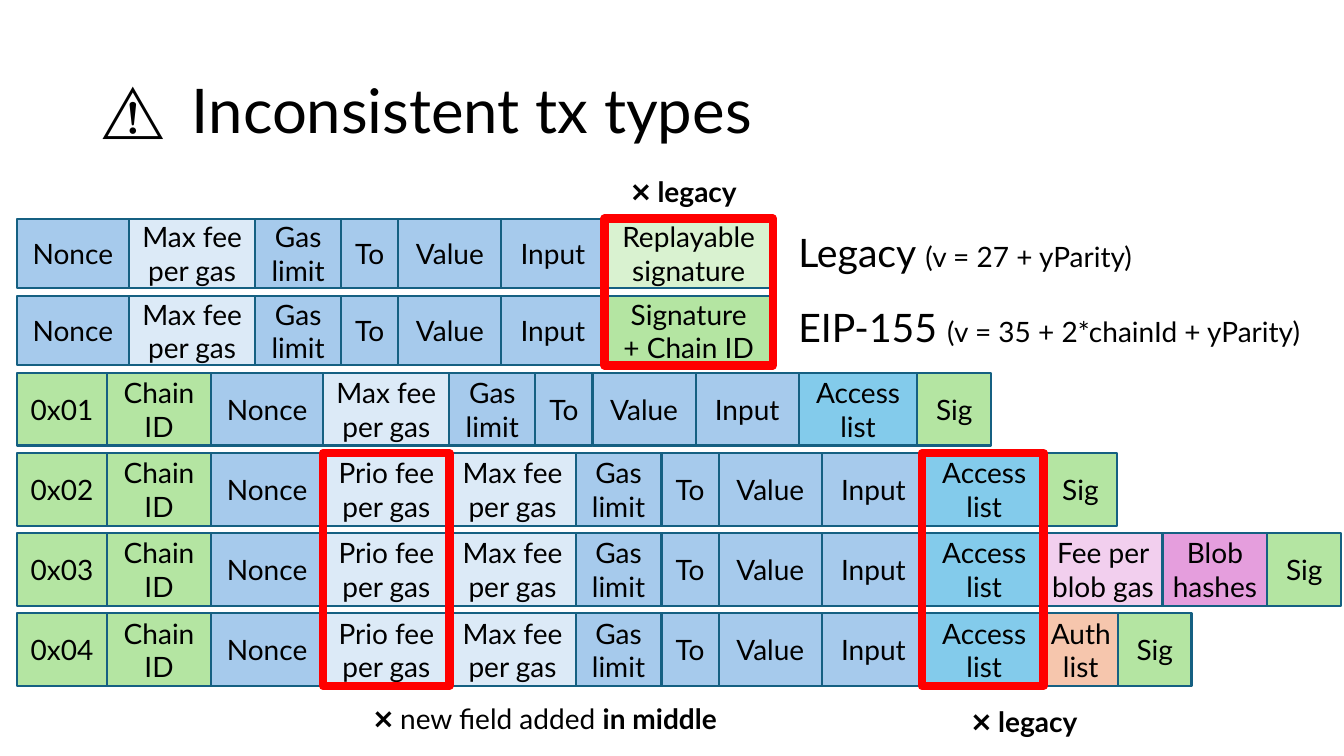
from dataclasses import dataclass, field

from pptx import Presentation
from pptx.dml.color import RGBColor as Rgb
from pptx.enum.shapes import MSO_SHAPE as Preset
from pptx.enum.text import MSO_ANCHOR as Anchor, MSO_AUTO_SIZE as AutoSize, PP_ALIGN as Align
from pptx.util import Inches, Pt

FONT = "Lato"
COLOURS = {
    "text": "000000", "outline": "156082", "alert": "FF0000",
    "blue": "A6CAEC", "pale blue": "DCEAF7", "green": "B4E5A2",
    "pale green": "D9F2D0", "cyan": "83CBEB", "pink": "F2CFEE",
    "violet": "E59EDD", "orange": "F6C6AD",
}


@dataclass(frozen=True)
class Box:
    """Position and size in percent of the slide's width and height."""
    left: float
    top: float
    width: float
    height: float


@dataclass(frozen=True)
class Run:
    text: str
    size: float = 20
    bold: bool = False
    spacing: int = 0


@dataclass(frozen=True)
class Field:
    label: str
    width: float
    fill: str = "blue"


@dataclass(frozen=True)
class TxType:
    fields: list[Field]
    height: float = 9.6
    note: list[Run] = field(default_factory=list)
    note_drop: float = 0


@dataclass(frozen=True)
class Highlight:
    label: str
    first_row: int
    last_row: int
    outset: float
    caption: list[Run]
    caption_box: Box


# Fields of the transaction types
NONCE = Field("Nonce", 8.35)
MAX_FEE = Field("Max fee per gas", 9.39, "pale blue")
PRIO_FEE = Field("Prio fee per gas", 9.39, "pale blue")
CALL = [Field("Gas limit", 6.39), Field("To", 4.26), Field("Value", 7.67), Field("Input", 7.67)]
CHAIN_ID = Field("Chain ID", 7.73, "green")
ACCESS = Field("Access list", 8.83, "cyan")
SIG = Field("Sig", 5.48, "green")
REPLAYABLE = Field("Replayable signature", 12.53, "pale green")
SIGNATURE = Field("Signature\n+ Chain ID", 12.53, "green")
BLOB = [Field("Fee per blob gas", 8.85, "pink"), Field("Blob hashes", 7.8, "violet")]
AUTH = Field("Auth list", 5.53, "orange")


def typed_fields(number: str, fees: list[Field], extras: list[Field]) -> list[Field]:
    return [Field(number, 6.72, "green"), CHAIN_ID, NONCE, *fees, *CALL, ACCESS, *extras, SIG]


FEES = [PRIO_FEE, MAX_FEE]
TX_TYPES = [
    TxType([NONCE, MAX_FEE, *CALL, REPLAYABLE], 9.2,
           [Run("Legacy ", 28), Run("(v = 27 + yParity)")], 0.6),
    TxType([NONCE, MAX_FEE, *CALL, SIGNATURE], 9.2,
           [Run("EIP-155 ", 28), Run("(v = 35 + 2*chainId + yParity)")], 0.3),
    TxType(typed_fields("0x01", [MAX_FEE], [])),
    TxType(typed_fields("0x02", FEES, [])),
    TxType(typed_fields("0x03", FEES, BLOB)),
    TxType(typed_fields("0x04", FEES, [AUTH])),
]
LEGACY = [Run("❌ "), Run("legacy", bold=True)]
HIGHLIGHTS = [
    Highlight(REPLAYABLE.label, 0, 1, 0, LEGACY, Box(46.25, 22.4, 40, 5.83)),
    Highlight(PRIO_FEE.label, 3, 5, 0,
              [Run("❌ new field added "), Run("in middle", bold=True)],
              Box(27.1, 92.1, 40, 5.83)),
    Highlight(ACCESS.label, 3, 5, 0.22, LEGACY, Box(71.6, 92.5, 28, 5.83)),
]
ROWS_LEFT, ROWS_TOP, ROW_GAP = 1.25, 28.93, 1.0

deck = Presentation()
deck.slide_width, deck.slide_height = Inches(13.33), Inches(7.5)
slide = deck.slides.add_slide(deck.slide_layouts[5])


def place(box: Box) -> tuple[int, int, int, int]:
    across, down = deck.slide_width / 100, deck.slide_height / 100
    return (round(box.left * across), round(box.top * down),
            round(box.width * across), round(box.height * down))


def write(paragraph, runs: list[Run]) -> None:
    for part in runs:
        run = paragraph.add_run()
        run.text = part.text
        formats = {"name": FONT, "size": Pt(part.size), "bold": part.bold}
        for name, value in formats.items():
            setattr(run.font, name, value)
        run.font.color.rgb = Rgb.from_string(COLOURS["text"])
        if part.spacing:
            run.font._element.set("spc", str(part.spacing))


def draw_rectangle(shapes, box: Box, fill: str, line: str, weight: float):
    rectangle = shapes.add_shape(Preset.RECTANGLE, *place(box))
    rectangle.shadow.inherit = False
    if fill:
        rectangle.fill.solid()
        rectangle.fill.fore_color.rgb = Rgb.from_string(COLOURS[fill])
    else:
        rectangle.fill.background()
    rectangle.line.color.rgb = Rgb.from_string(COLOURS[line])
    rectangle.line.width = Pt(weight)
    return rectangle


def draw_field(shapes, box: Box, content: Field) -> None:
    frame = draw_rectangle(shapes, box, content.fill, "outline", 1.5).text_frame
    formats = {"margin_left": 0, "margin_right": 0, "word_wrap": True,
               "vertical_anchor": Anchor.MIDDLE}
    for name, value in formats.items():
        setattr(frame, name, value)
    for index, line in enumerate(content.label.split("\n")):
        paragraph = frame.add_paragraph() if index else frame.paragraphs[0]
        paragraph.alignment = Align.CENTER
        write(paragraph, [Run(line)])


def draw_text(shapes, box: Box, runs: list[Run], side_margin: float = 0.1) -> None:
    frame = shapes.add_textbox(*place(box)).text_frame
    frame.word_wrap = True
    frame.margin_left = frame.margin_right = Inches(side_margin)
    write(frame.paragraphs[0], runs)


def draw_tx_type(tx_type: TxType, top: float) -> dict[str, Box]:
    """Draw one row and return the box of each field."""
    shapes = slide.shapes.add_group_shape().shapes
    boxes, left = {}, ROWS_LEFT
    for content in tx_type.fields:
        boxes[content.label] = Box(left, top, content.width, tx_type.height)
        draw_field(shapes, boxes[content.label], content)
        left += content.width
    if tx_type.note:
        draw_text(shapes, Box(59.4, top + tx_type.note_drop, 39.4, 7.6), tx_type.note, 0)
    return boxes


# Title
title = slide.shapes.title
title.left, title.top, title.width, title.height = place(Box(6.88, 5.32, 86.25, 19.33))
title.text_frame.auto_size = AutoSize.NONE
title.text_frame.vertical_anchor = Anchor.MIDDLE
heading = title.text_frame.paragraphs[0]
heading.alignment, heading.line_spacing = Align.LEFT, 0.9
write(heading, [Run("⚠️", 44), Run(" ", 44, spacing=850), Run("Inconsistent tx types", 44)])

# Transaction types, one row each
rows, row_top = [], ROWS_TOP
for tx_type in TX_TYPES:
    rows.append(draw_tx_type(tx_type, row_top))
    row_top += tx_type.height + ROW_GAP

# Inconsistent fields, framed and captioned
for mark in HIGHLIGHTS:
    start = rows[mark.first_row][mark.label]
    end = next(iter(rows[mark.last_row].values()))
    around = Box(start.left - mark.outset, start.top, start.width + mark.outset,
                 end.top + end.height - start.top)
    draw_rectangle(slide.shapes, around, "", "alert", 6)
    draw_text(slide.shapes, mark.caption_box, mark.caption)

deck.save("out.pptx")
